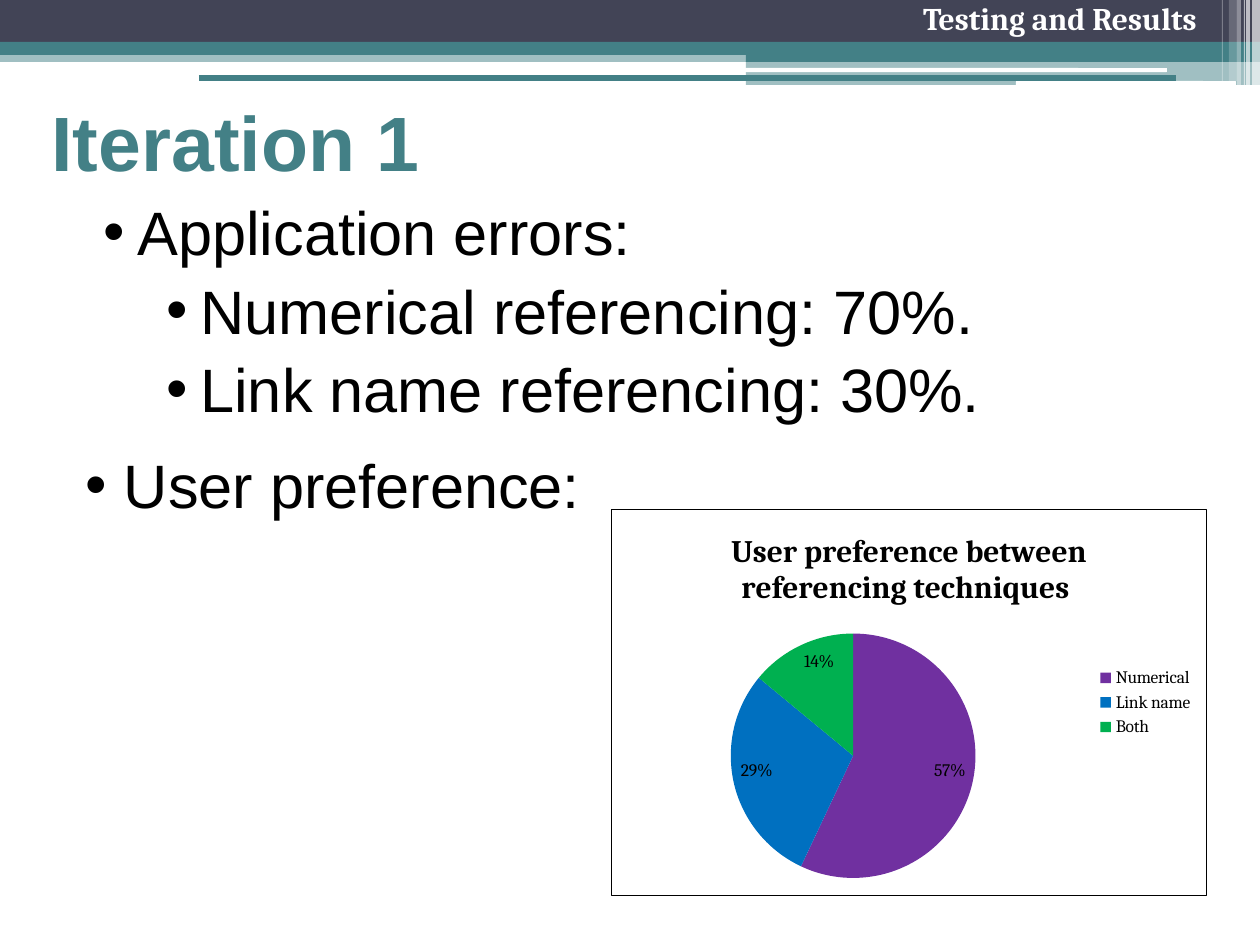
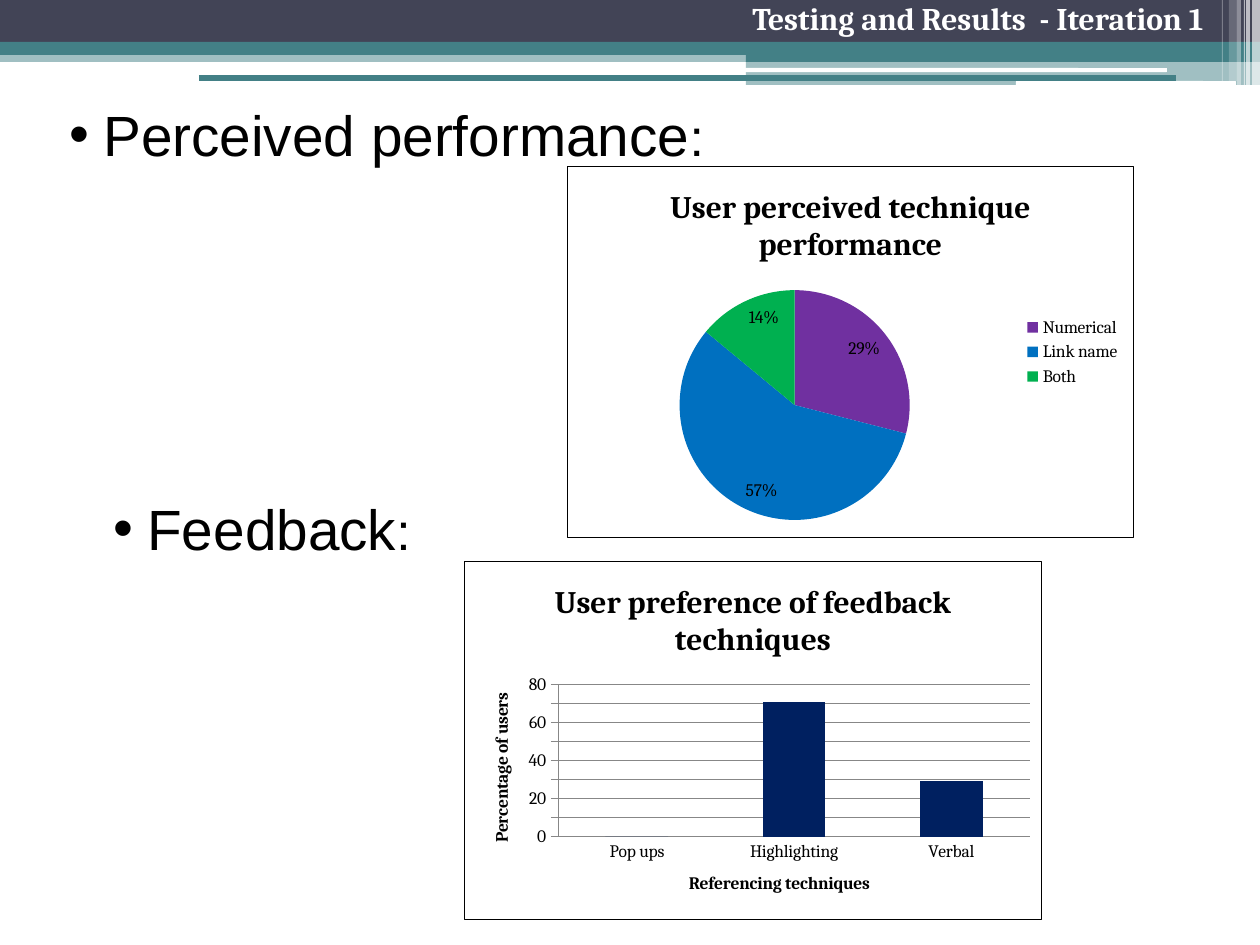
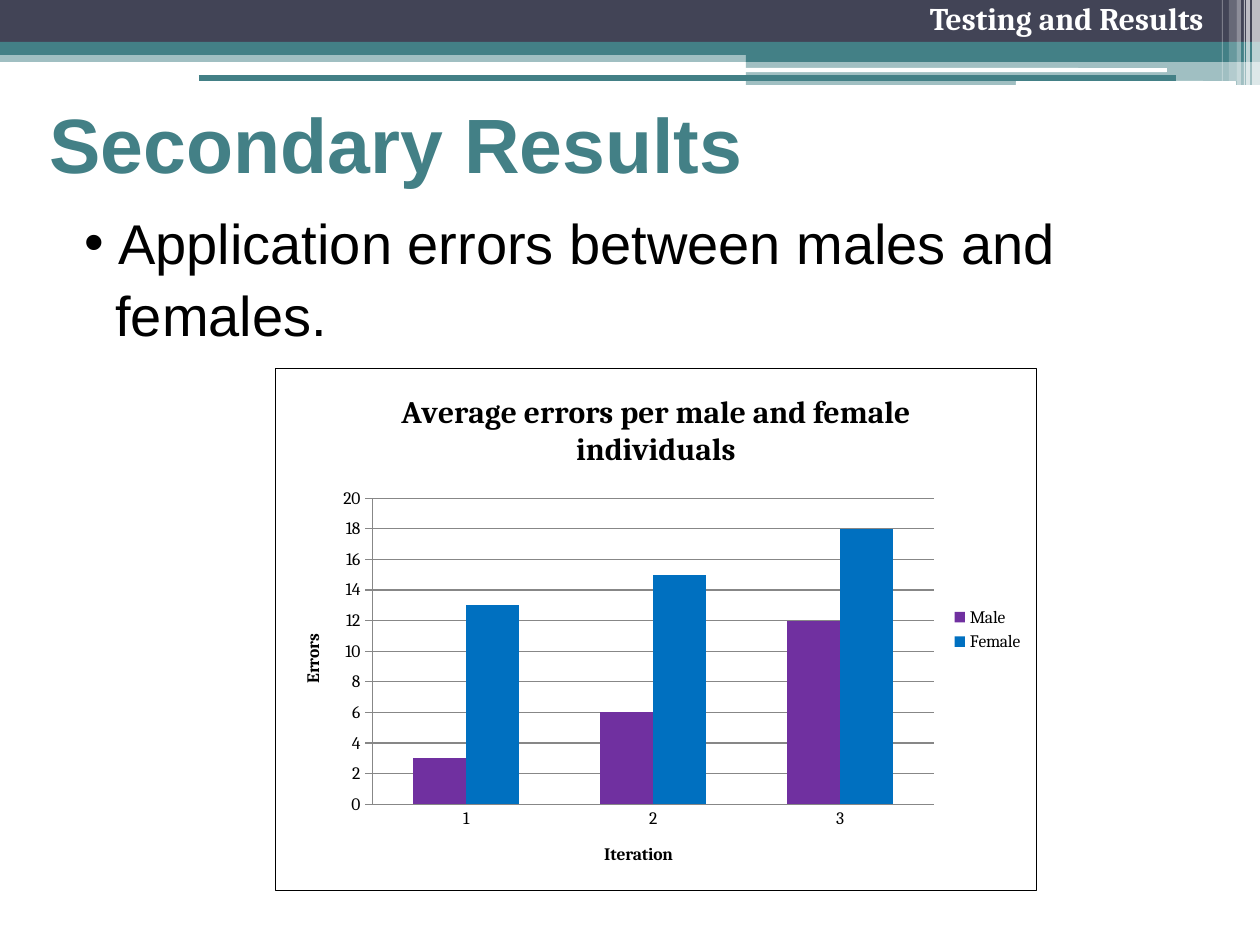
from pptx import Presentation
from pptx.chart.data import CategoryChartData
from pptx.dml.color import RGBColor
from pptx.enum.chart import XL_CHART_TYPE as CHART, XL_LABEL_POSITION as LABEL
from pptx.enum.chart import XL_LEGEND_POSITION as LEGEND, XL_TICK_MARK as TICK
from pptx.enum.shapes import MSO_CONNECTOR as CONNECTOR, MSO_SHAPE as SHAPE
from pptx.enum.text import MSO_ANCHOR as ANCHOR, PP_ALIGN as ALIGN
from pptx.oxml import parse_xml
from pptx.oxml.ns import nsdecls, qn
from pptx.util import Emu, Pt

COLORS = {
    "slate": "424456", "teal": "438086", "white": "FFFFFF", "black": "000000",
    "purple": "7030A0", "blue": "0070C0", "green": "00B050", "navy": "002060",
    "grid": "878787",
}
BODY, SERIF = "Arial", "Cambria"
TITLE_FONT = {"name": BODY, "size": Pt(44), "bold": True}
HEADER_FONT = {"name": SERIF, "size": Pt(18), "bold": True}
CHART_FONT = {"name": SERIF, "size": Pt(10)}
CHART_TITLE_FONT = {"name": SERIF, "size": Pt(18), "bold": True}
AXIS_TITLE_FONT = {"name": SERIF, "size": Pt(10), "bold": True}

HEADER_BANDS = [
    ((0, 50, 1260, 12), "teal", 50),
    ((0, 0, 1260, 43), "slate", 100),
    ((0, 42, 1260, 13), "teal", 100),
    ((746, 49, 514, 13), "teal", 100),
    ((746, 61, 514, 24), "teal", 50),
]
HEADER_LINES = [(745, 68, 422, 4), (1016, 81, 220, 5)]
CORNER_STRIPES = [
    (1252, 8, 86, 65), (1246, 4, 86, 65), (1244, 1, 86, 60),
    (1237, 4, 86, 40), (1229, 8, 81, 20), (1222, 1, 81, 30),
]
REFERENCING = ["Numerical", "Link name", "Both"]
REFERENCING_COLORS = ["purple", "blue", "green"]


def px(length):
    return Emu(round(length * 914400 / 126))


def place(box):
    return [px(length) for length in box]


def rgb(name):
    return RGBColor.from_string(COLORS[name])


def style_font(font, values, color="black"):
    for name, value in values.items():
        setattr(font, name, value)
    font.color.rgb = rgb(color)


def add_band(slide, kind, box, color, opacity=100):
    band = slide.shapes.add_shape(kind, *place(box))
    band.shadow.inherit = False
    band.fill.solid()
    band.fill.fore_color.rgb = rgb(color)
    band.line.fill.background()
    if opacity < 100:
        color_element = band.element.spPr.find(".//" + qn("a:srgbClr"))
        color_element.append(parse_xml(
            f'<a:alpha {nsdecls("a")} val="{opacity * 1000}"/>'))
    return band


def decorate_master(presentation, slide):
    bands = [add_band(slide, SHAPE.RECTANGLE, *band) for band in HEADER_BANDS]
    bands += [add_band(slide, SHAPE.ROUNDED_RECTANGLE, box, "white")
              for box in HEADER_LINES]
    bands += [add_band(slide, SHAPE.RECTANGLE, (left, 0, width, height), "white", opacity)
              for left, width, height, opacity in CORNER_STRIPES]
    tree = presentation.slide_master.shapes.element
    for index, band in enumerate(bands):
        band.element.nvSpPr.cNvPr.id = 100 + index
        tree.insert(2 + index, band.element)


def add_text_frame(slide, box):
    frame = slide.shapes.add_textbox(*place(box)).text_frame
    frame.word_wrap = True
    return frame


def set_indent(paragraph, left, first):
    properties = paragraph._p.get_or_add_pPr()
    properties.set("marL", str(px(left)))
    properties.set("indent", str(px(first)))
    return properties


def add_header(slide, text):
    paragraph = add_text_frame(slide, (481, 0, 735, 63)).paragraphs[0]
    paragraph.alignment = ALIGN.RIGHT
    paragraph.line_spacing = 0.8
    paragraph.space_before = Pt(3.6)
    set_indent(paragraph, 38, -38)
    run = paragraph.add_run()
    run.text = text
    style_font(run.font, HEADER_FONT, "white")

    rule = slide.shapes.add_connector(CONNECTOR.STRAIGHT, *place((199, 78, 1176, 78)))
    rule.line.color.rgb = rgb("teal")
    rule.line.width = Pt(3)
    rule.element.spPr.append(parse_xml(f'<a:effectLst {nsdecls("a")}/>'))


def set_title(slide, text, box):
    title = slide.shapes.title
    title.left, title.top, title.width, title.height = place(box)
    frame = title.text_frame
    frame.text = text
    frame.vertical_anchor = ANCHOR.MIDDLE
    frame.paragraphs[0].alignment = ALIGN.LEFT
    style_font(frame.paragraphs[0].runs[0].font, TITLE_FONT, "teal")


def add_bullets(slide, box, items, line_spacing=1.0):
    frame = add_text_frame(slide, box)
    for index, (left, first, runs) in enumerate(items):
        paragraph = frame.add_paragraph() if index else frame.paragraphs[0]
        paragraph.line_spacing = line_spacing
        paragraph.space_before = Pt(3)
        properties = set_indent(paragraph, left, first)
        if first or left == 0:
            properties.append(parse_xml(f'<a:buFont {nsdecls("a")} typeface="{BODY}"/>'))
            properties.append(parse_xml(f'<a:buChar {nsdecls("a")} char="•"/>'))
        for text, size in runs:
            run = paragraph.add_run()
            run.text = text
            style_font(run.font, {"name": BODY, "size": Pt(size)})


def add_topic(slide, box, text):
    add_bullets(slide, box, [(91, -34, [(text, 32.4), (":", 29.6)])], 0.8)


def set_chart_title(owner, text, font):
    frame = (owner.chart_title if hasattr(owner, "chart_title") else owner.axis_title).text_frame
    frame.text = text
    style_font(frame.paragraphs[0].runs[0].font, font)


def add_chart(slide, kind, box, title, categories, series, legend=True):
    data = CategoryChartData()
    data.categories = categories
    for name, values in series:
        data.add_series(name, values)
    chart = slide.shapes.add_chart(kind, *place(box), data).chart
    chart.element.find(qn("c:chart")).addnext(parse_xml(
        f'<c:spPr {nsdecls("c", "a")}><a:noFill/><a:ln w="9525"><a:solidFill>'
        f'<a:srgbClr val="{COLORS["black"]}"/></a:solidFill></a:ln></c:spPr>'))
    style_font(chart.font, CHART_FONT)
    set_chart_title(chart, title, CHART_TITLE_FONT)
    chart.has_legend = legend
    if legend:
        chart.legend.position = LEGEND.RIGHT
        chart.legend.include_in_layout = False
    return chart


def add_pie(slide, box, title, values):
    chart = add_chart(slide, CHART.PIE, box, title, REFERENCING, [("Series 1", values)])
    plot = chart.plots[0]
    plot.vary_by_categories = True
    for index, color in enumerate(REFERENCING_COLORS):
        fill = plot.series[0].points[index].format.fill
        fill.solid()
        fill.fore_color.rgb = rgb(color)
    plot.has_data_labels = True
    labels = plot.data_labels
    labels.show_percentage = True
    labels.show_value = False
    labels.number_format = "0%"
    labels.number_format_is_linked = False
    labels.position = LABEL.INSIDE_END
    style_font(labels.font, CHART_FONT)


def add_columns(slide, box, title, axis_titles, categories, series, colors, legend):
    chart = add_chart(slide, CHART.COLUMN_CLUSTERED, box, title, categories, series, legend)
    plot = chart.plots[0]
    plot.vary_by_categories = False
    plot.gap_width = 150
    plot.overlap = 0
    for column, color in zip(plot.series, colors):
        column.format.fill.solid()
        column.format.fill.fore_color.rgb = rgb(color)
    axes = chart.category_axis, chart.value_axis
    for axis, text, tick in zip(axes, axis_titles, (TICK.NONE, TICK.CROSS)):
        set_chart_title(axis, text, AXIS_TITLE_FONT)
        axis.major_tick_mark = tick
        axis.minor_tick_mark = TICK.NONE
        axis.format.line.color.rgb = rgb("grid")
    chart.value_axis.has_major_gridlines = True
    chart.value_axis.major_gridlines.format.line.color.rgb = rgb("grid")


def build_iteration(slide):
    add_header(slide, "Testing and Results ")
    set_title(slide, "Iteration 1", (39, 66, 862, 149))
    add_bullets(slide, (34, 188, 1095, 262), [
        (91, -34, [("Application errors:", 35)]),
        (154, -34, [("Numerical referencing: 70%.", 35)]),
        (154, -34, [("Link name referencing: 30%.", 35)]),
    ])
    add_pie(slide, (611, 509, 596, 387),
            "User preference between referencing techniques ", (57, 29, 14))
    add_bullets(slide, (73, 441, 746, 125), [(0, 0, [(" User preference:", 35)])])


def build_performance(slide):
    add_header(slide, "Testing and Results  - Iteration 1")
    add_topic(slide, (0, 107, 1143, 73), "Perceived performance")
    add_pie(slide, (567, 166, 567, 372),
            "User perceived technique performance", (29, 57, 14))
    add_columns(slide, (464, 561, 578, 359), "User preference of feedback techniques",
                ("Referencing techniques", "Percentage of users"),
                ["Pop ups", "Highlighting", "Verbal"],
                [("Series 1", (0, 71, 29))], ["navy"], False)
    add_topic(slide, (44, 501, 1143, 73), "Feedback")


def build_secondary(slide):
    add_header(slide, "Testing and Results")
    add_bullets(slide, (-48, 202, 1402, 176), [
        (154, -34, [("Application errors between males and", 32)]),
        (151, 0, [("females.", 32)]),
    ])
    set_title(slide, "Secondary Results", (37, 68, 862, 149))
    add_columns(slide, (275, 368, 762, 523), "Average errors per male and female individuals",
                ("Iteration", "Errors"), ["1", "2", "3"],
                [("Male", (3, 6, 12)), ("Female", (13, 15, 18))],
                ["purple", "blue"], True)


def main():
    presentation = Presentation()
    presentation.slide_width, presentation.slide_height = px(1260), px(945)
    title_only, blank = presentation.slide_layouts[5], presentation.slide_layouts[6]
    pages = [(title_only, build_iteration), (blank, build_performance),
             (title_only, build_secondary)]
    for index, (layout, build) in enumerate(pages):
        slide = presentation.slides.add_slide(layout)
        if index == 0:
            decorate_master(presentation, slide)
        build(slide)
    presentation.save("out.pptx")


if __name__ == "__main__":
    main()
